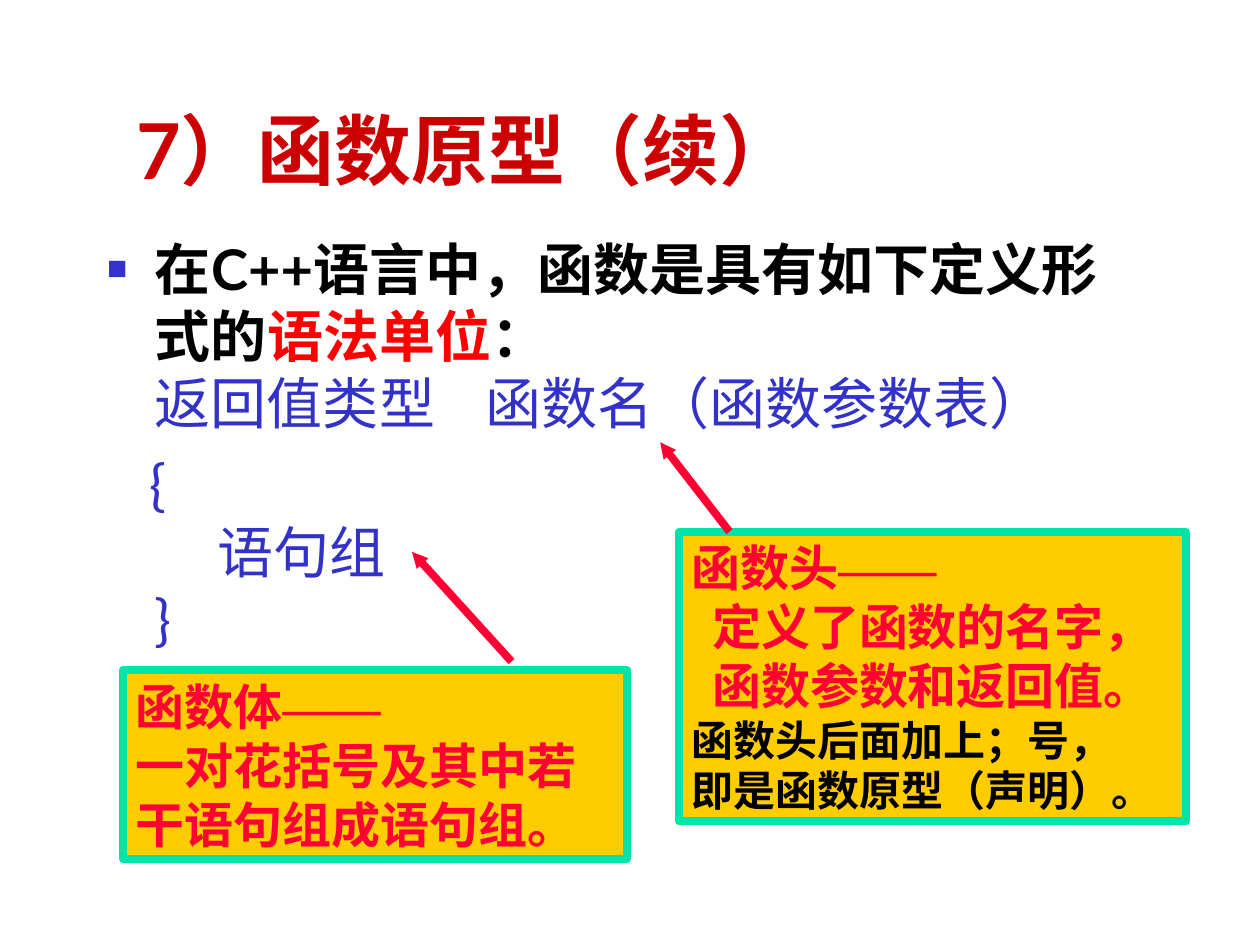
import pptx
import pptx.dml.color
import pptx.enum.shapes
import pptx.enum.text
import pptx.oxml
import pptx.oxml.ns
import pptx.util
from lxml import etree

Inches = pptx.util.Inches
Pt = pptx.util.Pt
qn = pptx.oxml.ns.qn
Align = pptx.enum.text.PP_ALIGN
Anchor = pptx.enum.text.MSO_ANCHOR

COLORS = {
    "title": "CC0000",
    "text": "000000",
    "accent": "FF0000",
    "syntax": "3232C8",
    "bullet": "3333CC",
    "note": "FF0033",
    "note_fill": "FFCC00",
    "note_line": "00E4A8",
}
SANS, CJK, SERIF = "Lato", "Noto Sans CJK SC", "Times New Roman"


def rgb(name):
    return pptx.dml.color.RGBColor.from_string(COLORS[name])


def write(para, text, size=28, font=SANS, asian=SANS, color="text", bold=True):
    """Add text to a paragraph, with a line break at each newline."""
    for number, line in enumerate(text.split("\n")):
        if number:
            para.add_line_break()
        if not line:
            continue
        span = para.add_run()
        span.text = line
        span.font.size = Pt(size)
        span.font.bold = bold
        span.font.name = font
        span.font.color.rgb = rgb(color)
        east = etree.SubElement(span.font._element, qn("a:ea"))
        east.set("typeface", asian)


def place(box, left, top, width, height):
    box.left, box.top = Inches(left), Inches(top)
    box.width, box.height = Inches(width), Inches(height)


def format_list(para, indent, first, tab, bullet=None):
    """Set indents, an optional bullet and one tab stop."""
    props = para._p.get_or_add_pPr()
    props.set("marL", str(Inches(indent)))
    props.set("indent", str(Inches(first)))
    if bullet:
        color = etree.SubElement(props, qn("a:buClr"))
        etree.SubElement(color, qn("a:srgbClr")).set("val", COLORS["bullet"])
        etree.SubElement(props, qn("a:buSzPct")).set("val", "60000")
        etree.SubElement(props, qn("a:buChar")).set("char", bullet)
    else:
        etree.SubElement(props, qn("a:buNone"))
    stop = etree.SubElement(etree.SubElement(props, qn("a:tabLst")), qn("a:tab"))
    stop.set("pos", str(Inches(tab)))
    stop.set("algn", "l")


def add_title(page):
    title = page.shapes.title
    place(title, 0.98, 0.6, 8.52, 1)
    title.text_frame.vertical_anchor = Anchor.BOTTOM
    para = title.text_frame.paragraphs[0]
    para.alignment = Align.LEFT
    write(para, "7）函数原型（续）", size=44, color="title")


def add_body(page):
    body = page.placeholders[1]
    place(body, 0.75, 1.81, 8.5, 4.5)
    frame = body.text_frame
    frame.auto_size = pptx.enum.text.MSO_AUTO_SIZE.NONE

    intro = frame.paragraphs[0]
    format_list(intro, 0.38, -0.38, tab=2.4, bullet="■")
    intro.space_before = Pt(0)
    write(intro, "在C++语言中，函数是具有如下定义形式的", size=32)
    write(intro, "语法单位", size=32, color="accent")
    write(intro, "：\n", size=32)
    write(intro, "返回值类型\t函数名（函数参数表）", size=32, color="syntax", bold=False)

    block = frame.add_paragraph()
    format_list(block, 0.38, -0.04, tab=1)
    block.space_before = Pt(8)
    write(block, "{\n\t语句组\n}", size=32, color="syntax", bold=False)


def add_note(page, bounds, heading, paragraphs):
    """Add a framed note; paragraphs are (text, alignment, format) triples."""
    box = page.shapes.add_shape(
        pptx.enum.shapes.MSO_SHAPE.RECTANGLE, *(Inches(value) for value in bounds)
    )
    box.shadow.inherit = False
    box.fill.solid()
    box.fill.fore_color.rgb = rgb("note_fill")
    box.line.color.rgb = rgb("note_line")
    box.line.width = Pt(4.5)
    frame = box.text_frame
    frame.word_wrap = True
    frame.vertical_anchor = Anchor.TOP
    first = frame.paragraphs[0]
    first.alignment = Align.LEFT
    write(first, heading, font=CJK, color="note")
    write(first, "——", font=SERIF, asian=SERIF, color="note")
    for text, alignment, style in paragraphs:
        para = frame.add_paragraph()
        para.alignment = alignment
        write(para, text, **style)


def add_arrow(page, start, end):
    arrow = page.shapes.add_connector(
        pptx.enum.shapes.MSO_CONNECTOR.STRAIGHT,
        *(Inches(value) for value in start + end),
    )
    arrow.line.color.rgb = rgb("note")
    arrow.line.width = Pt(4.5)
    head = etree.SubElement(arrow.line._get_or_add_ln(), qn("a:tailEnd"))
    for key, value in (("type", "triangle"), ("w", "sm"), ("len", "sm")):
        head.set(key, value)
    etree.SubElement(arrow._element.spPr, qn("a:effectLst"))


def main():
    deck = pptx.Presentation()
    deck.slide_width, deck.slide_height = Inches(10), Inches(7.5)
    page = deck.slides.add_slide(deck.slide_layouts[1])
    add_title(page)
    add_body(page)

    strong = {"font": CJK, "color": "note"}
    plain = {"size": 24, "font": SERIF}
    add_note(page, (5.39, 4.22, 4.02, 2.3), "函数头", [
        ("定义了函数的名字，函数参数和返回值。", Align.CENTER, strong),
        ("函数头后面加上；号，", Align.LEFT, plain),
        ("即是函数原型（声明）。", Align.LEFT, plain),
    ])
    add_note(page, (0.98, 5.32, 4, 1.5), "函数体", [
        ("一对花括号及其中若干语句组成语句组。", Align.LEFT, strong),
    ])
    add_arrow(page, (5.79, 4.22), (5.24, 3.51))
    add_arrow(page, (4.06, 5.25), (3.27, 4.38))
    deck.save("out.pptx")


if __name__ == "__main__":
    main()
